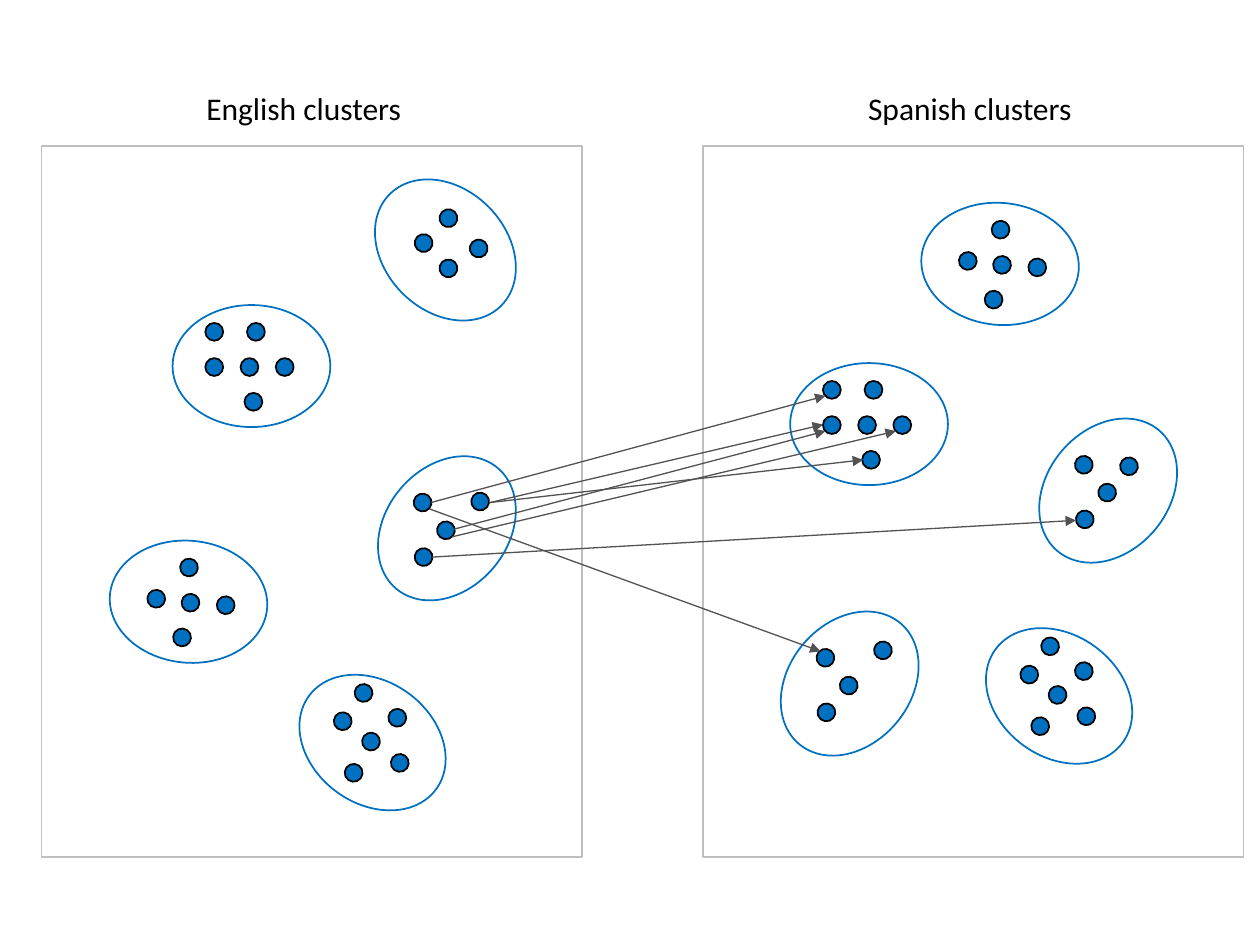
"""Build a slide that links English word clusters to Spanish ones."""
from lxml.etree import SubElement
from pptx import Presentation
from pptx.dml.color import RGBColor
from pptx.enum.shapes import MSO_CONNECTOR, MSO_SHAPE
from pptx.enum.text import MSO_AUTO_SIZE
from pptx.oxml.ns import qn
from pptx.util import Cm, Pt

BLUE = "0070C0"
OVAL_W, OVAL_H = 3.18, 2.46
DOT = 0.36

PANELS = [("English clusters", 0.84, 3.91, 4.47), ("Spanish clusters", 14.17, 17.25, 4.65)]

SIX = [(0.66, 0.36), (1.5, 0.36), (0.66, 1.07), (1.37, 1.07), (2.08, 1.07), (1.45, 1.77)]
FIVE = [(1.42, 0.36), (0.76, 0.99), (1.45, 1.07), (2.16, 1.12), (1.28, 1.77)]
RING = [(1.23, 0.05), (1.91, 0.55), (0.81, 0.62), (1.38, 1.03), (1.96, 1.46), (1.03, 1.66)]
DIAMOND = [(1.47, 0.41), (0.97, 0.91), (2.08, 1.02), (1.47, 1.42)]
THREE = [(0.92, 0.53), (1.39, 1.09), (0.94, 1.63)]

CLUSTERS = [
    (3.48, 6.15, 0, SIX),
    (2.21, 10.9, 185.1, FIVE),
    (5.92, 13.74, 36.3, RING),
    (15.93, 7.32, 0, SIX),
    (18.57, 4.09, 185.1, FIVE),
    (20.75, 8.66, 309.9, THREE + [(1.83, 0.56)]),
    (19.76, 12.8, 36.3, RING),
    (7.39, 3.81, 45.2, DIAMOND),
    (7.42, 9.42, 309.9, THREE + [(2.08, 0.51)]),
    (15.54, 12.55, 309.9, THREE + [(2.08, 0.38)]),
]

ARROWS = [
    (9.88, 10.13, 16.59, 8.56),
    (9.88, 10.13, 17.4, 9.27),
    (9.12, 10.82, 18.06, 8.69),
    (9.14, 10.67, 16.64, 8.69),
    (8.69, 10.13, 16.64, 7.98),
    (8.66, 10.26, 16.54, 13.13),
    (8.71, 11.23, 21.69, 10.49),
]


def color(value):
    return RGBColor.from_string(value)


def add_outlined(shapes, kind, box, line, fill=None, rotation=0):
    sp = shapes.add_shape(kind, *map(Cm, box))
    sp.shadow.inherit = False
    sp.rotation = rotation
    if fill:
        sp.fill.solid()
        sp.fill.fore_color.rgb = color(fill)
    else:
        sp.fill.background()
    sp.line.color.rgb = color(line)
    sp.line.width = Pt(1)


def add_title(s, text, left, width):
    tf = s.shapes.add_textbox(Cm(left), Cm(1.68), Cm(width), Cm(1.02)).text_frame
    tf.word_wrap = False
    tf.auto_size = MSO_AUTO_SIZE.SHAPE_TO_FIT_TEXT
    tf.text = text
    r = tf.paragraphs[0].runs[0]
    r.font.name = "Calibri"
    r.font.size = Pt(18)
    r.font.color.rgb = color("000000")


def add_cluster(s, left, top, rotation, dots):
    shapes = s.shapes.add_group_shape().shapes
    add_outlined(shapes, MSO_SHAPE.OVAL, (left, top, OVAL_W, OVAL_H), BLUE, rotation=rotation)
    for x, y in dots:
        add_outlined(shapes, MSO_SHAPE.OVAL, (left + x, top + y, DOT, DOT), "000000", BLUE, rotation)


def add_arrow(s, points):
    cxn = s.shapes.add_connector(MSO_CONNECTOR.STRAIGHT, *map(Cm, points))
    cxn.line.color.rgb = color("525252")
    cxn.line.width = Pt(0.75)
    SubElement(cxn.line._get_or_add_ln(), qn("a:tailEnd"), type="triangle")
    SubElement(cxn._element.spPr, qn("a:effectLst"))


def main():
    prs = Presentation()
    prs.slide_width, prs.slide_height = Cm(25.4), Cm(19.05)
    s = prs.slides.add_slide(prs.slide_layouts[6])
    for text, left, title_left, title_width in PANELS:
        add_outlined(s.shapes, MSO_SHAPE.RECTANGLE, (left, 2.95, 10.9, 14.33), "BFBFBF", "FFFFFF")
        add_title(s, text, title_left, title_width)
    for cluster in CLUSTERS:
        add_cluster(s, *cluster)
    for points in ARROWS:
        add_arrow(s, points)
    prs.save("out.pptx")


main()
